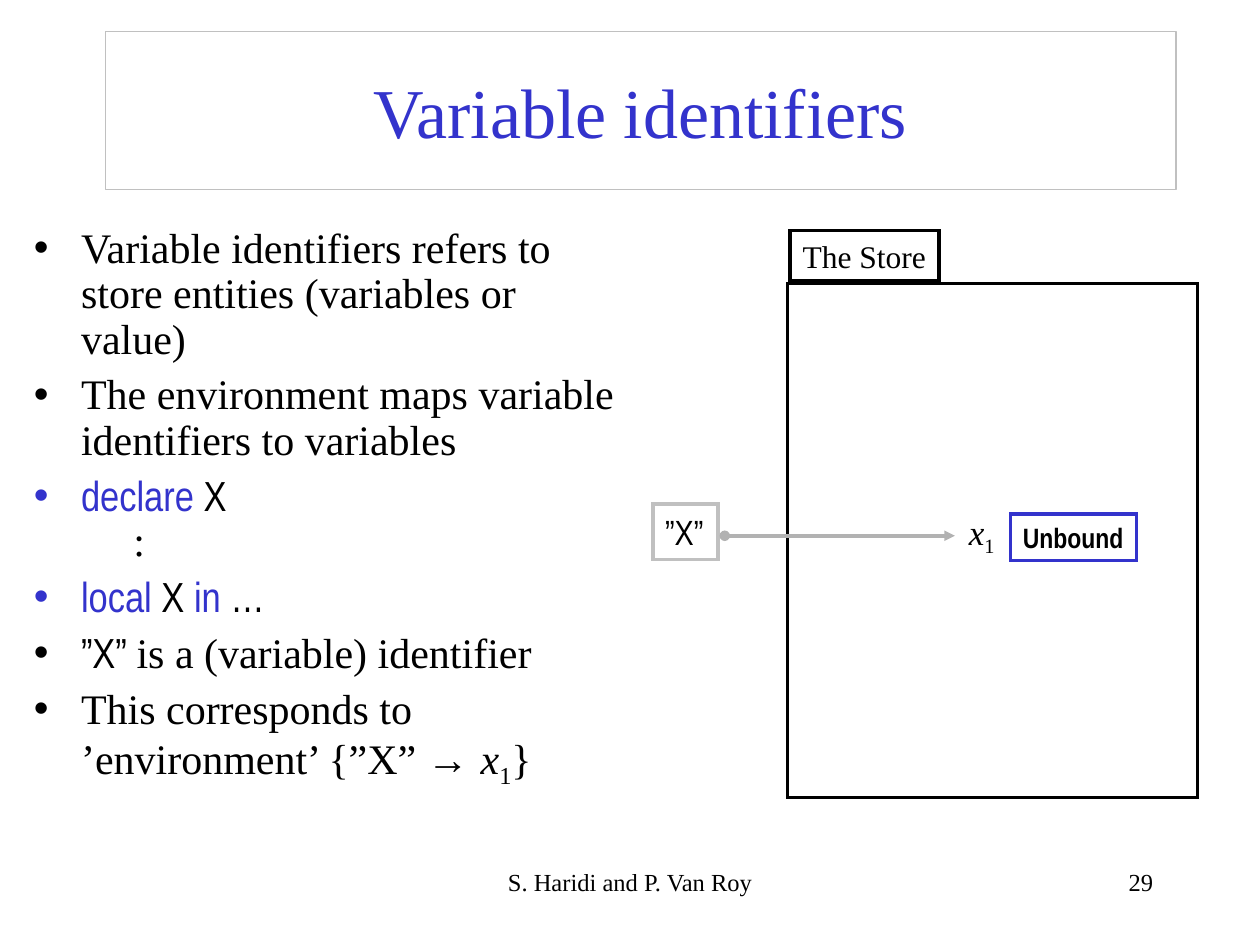
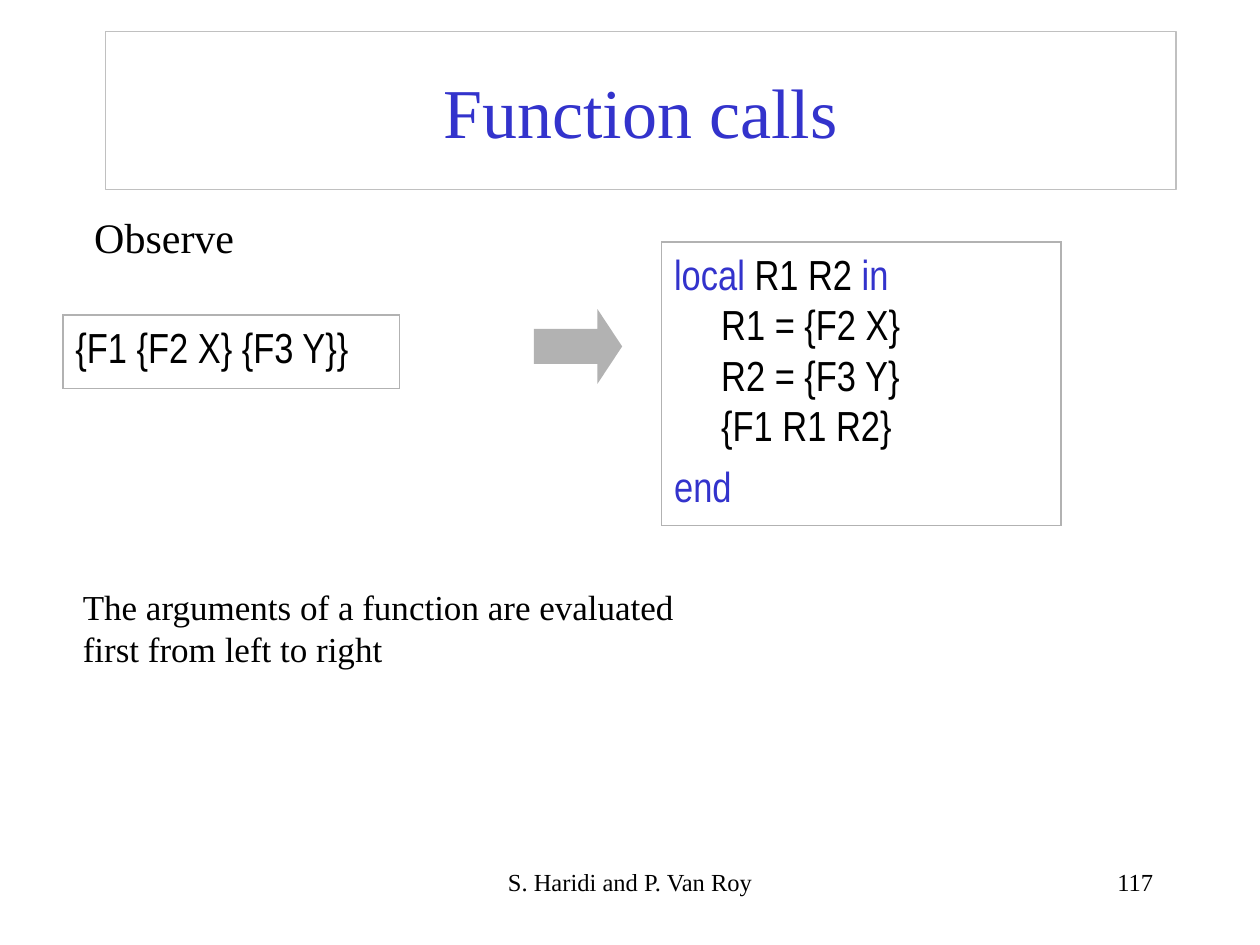
from lxml.etree import SubElement
from pptx import Presentation
from pptx.dml.color import RGBColor
from pptx.enum.shapes import MSO_CONNECTOR, MSO_SHAPE
from pptx.enum.text import MSO_ANCHOR, MSO_AUTO_SIZE, PP_ALIGN
from pptx.oxml.ns import qn
from pptx.util import Cm, Pt

SERIF, NARROW = "Times New Roman", "Arial Narrow"
BLACK, BLUE, SILVER, GREY = "000000", "3333CC", "C0C0C0", "B2B2B2"
HANGING = Cm(0.95)
hex_color = RGBColor.from_string


def write(box, paragraphs, size, face=SERIF, color=BLACK, align=PP_ALIGN.LEFT,
          wrap=True, hanging=False, bullet=None):
    """Fill a box with paragraphs, each a list of (text, style) spans; "\\n" breaks a line."""
    frame = box.text_frame
    frame.word_wrap = wrap
    frame.auto_size = MSO_AUTO_SIZE.NONE if wrap else MSO_AUTO_SIZE.SHAPE_TO_FIT_TEXT
    frame.vertical_anchor = MSO_ANCHOR.TOP
    for index, spans in enumerate(paragraphs):
        para = frame.add_paragraph() if index else frame.paragraphs[0]
        para.alignment = align
        para.space_before = Pt(6 if index else 0)
        properties = para._p.get_or_add_pPr()
        if hanging:
            properties.set("marL", str(HANGING))
            properties.set("indent", str(-HANGING))
        if bullet:
            bullet_color = SubElement(properties, qn("a:buClr"))
            SubElement(bullet_color, qn("a:srgbClr"), val=spans[0][1].get("color", color))
            SubElement(properties, qn("a:buChar"), char=bullet)
        para.font.size, para.font.name = Pt(size), face
        para.font.color.rgb = hex_color(color)
        for text, style in spans:
            for number, line in enumerate(text.split("\n")):
                if number:
                    para.add_line_break()
                if not line:
                    continue
                span = para.add_run()
                span.text = line
                if "color" in style:
                    span.font.color.rgb = hex_color(style["color"])
                if "face" in style:
                    span.font.name = style["face"]
                if "italic" in style:
                    span.font.italic = True
                if "subscript" in style:
                    span.font._element.set("baseline", "-25000")


def add_box(page, place, line=None, width=2.0):
    """Add a text box, or an unfilled rectangle when a line colour is given."""
    place = [Cm(length) for length in place]
    if line is None:
        return page.shapes.add_textbox(*place)
    box = page.shapes.add_shape(MSO_SHAPE.RECTANGLE, *place)
    box.shadow.inherit = False
    box.fill.background()
    box.line.color.rgb = hex_color(line)
    box.line.width = Pt(width)
    SubElement(box.line._ln, qn("a:miter"), lim="800000")
    return box


deck = Presentation()
deck.slide_width, deck.slide_height = Cm(25.4), Cm(19.05)

# Title and footers of both slides
pages = []
for heading, page_number, layout in (("Variable identifiers", "29", 1), ("Function calls", "117", 5)):
    page = deck.slides.add_slide(deck.slide_layouts[layout])
    title = page.shapes.title
    title.left, title.top, title.width, title.height = Cm(2.12), Cm(0.64), Cm(21.59), Cm(3.18)
    title.line.color.rgb = hex_color(SILVER)
    title.line.width = Pt(0.75)
    write(title, [[(heading, {})]], 40, color=BLUE, align=PP_ALIGN.CENTER)
    title.text_frame.vertical_anchor = MSO_ANCHOR.MIDDLE
    for text, left, width, align in (
        ("S. Haridi and P. Van Roy", 8.68, 8.05, PP_ALIGN.CENTER),
        (page_number, 18.2, 5.3, PP_ALIGN.RIGHT),
    ):
        write(add_box(page, (left, 17.36, width, 1.27)), [[(text, {})]], 14, align=align)
    pages.append(page)
identifiers_page, calls_page = pages

# Variable identifiers: bullet list
code, keyword = {"face": NARROW}, {"face": NARROW, "color": BLUE}
variable = [("x", {"italic": True}), ("1", {"subscript": True})]
bullets = [
    [("Variable identifiers refers to store entities (variables or value)", {})],
    [("The environment maps variable identifiers to variables", {})],
    [("declare", keyword), (" X\n", code), ("     :", {})],
    [("local", keyword), (" X ", code), ("in", keyword), (" …", code)],
    [("”X” ", code), ("is a (variable) identifier", {})],
    [("This corresponds to ’environment’ {”X” ", {}), ("→ ", {"face": "Arial"}), *variable, ("}", {})],
]
body = identifiers_page.placeholders[1]
body.left, body.top, body.width, body.height = Cm(0.43), Cm(4.45), Cm(12.27), Cm(12.27)
write(body, bullets, 24, hanging=True, bullet="•")
for para in body.text_frame.paragraphs:
    para.line_spacing = 0.9

# Variable identifiers: the store
add_box(identifiers_page, (15.88, 5.72, 8.26, 10.36), BLACK)
for text, place, line, size, face, bold in (
    ("The Store", (15.93, 4.65, 3, 1.02), BLACK, 18, SERIF, False),
    ("”X”", (13.16, 10.16, 1.32, 1.12), SILVER, 20, NARROW, False),
    ("Unbound", (20.37, 10.36, 2.54, 0.94), BLUE, 16, NARROW, True),
):
    label = add_box(identifiers_page, place, line)
    write(label, [[(text, {})]], size, face, wrap=False)
    label.text_frame.paragraphs[0].font.bold = bold

arrow = identifiers_page.shapes.add_connector(
    MSO_CONNECTOR.STRAIGHT, Cm(14.61), Cm(10.8), Cm(19.25), Cm(10.8))
arrow.line.color.rgb = hex_color(GREY)
arrow.line.width = Pt(2)
SubElement(arrow.line._ln, qn("a:headEnd"), type="oval")
SubElement(arrow.line._ln, qn("a:tailEnd"), type="triangle")
SubElement(arrow._element.spPr, qn("a:effectLst"))
write(add_box(identifiers_page, (19.28, 10.16, 1.02, 1.22)), [variable], 20, wrap=False)

# Function calls: nested call and its expansion
block_arrow = calls_page.shapes.add_shape(
    MSO_SHAPE.RIGHT_ARROW, Cm(10.8), Cm(6.35), Cm(1.7), Cm(1.27))
block_arrow.adjustments[1] = 0.33
block_arrow.shadow.inherit = False
block_arrow.fill.solid()
block_arrow.fill.fore_color.rgb = block_arrow.line.color.rgb = hex_color(GREY)
block_arrow.line.width = Pt(2)
SubElement(block_arrow.line._ln, qn("a:miter"), lim="800000")

blue = {"color": BLUE}
expansion = [
    [("local ", blue), ("R1 R2", {}), (" in\n", blue), ("R1 = {F2 X}\nR2 = {F3 Y}\n{F1 R1 R2}", {})],
    [("end", blue)],
]
for place, paragraphs in (
    ((1.27, 6.35, 6.78, 1.48), [[("{F1 {F2 X} {F3 Y}}", {})]]),
    ((13.34, 4.88, 8.05, 5.72), expansion),
):
    write(add_box(calls_page, place, GREY, 0.75), paragraphs, 24, NARROW, hanging=True)

for text, place, size in (
    ("Observe", (1.65, 4.14, 3.33, 1.27), 24),
    ("The arguments of a function are evaluated\nfirst from left to right", (1.42, 11.68, 12.45, 1.96), 20),
):
    write(add_box(calls_page, place), [[(text, {})]], size, wrap=False)

deck.save("out.pptx")
